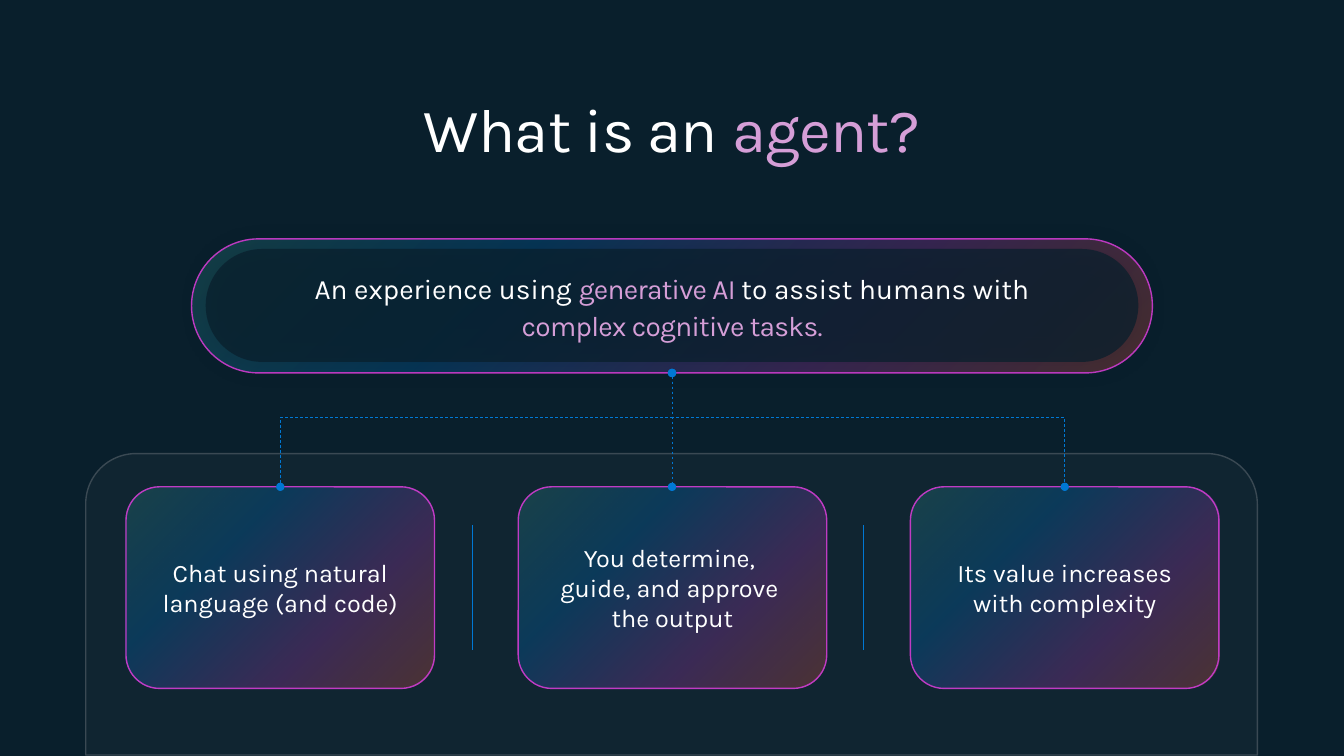
import pptx
import pptx.dml.color
import pptx.enum.dml
import pptx.enum.shapes
import pptx.enum.text
import pptx.oxml
import pptx.oxml.ns
import pptx.util

Inches = pptx.util.Inches
Pt = pptx.util.Pt
RGBColor = pptx.dml.color.RGBColor
Shapes = pptx.enum.shapes.MSO_SHAPE
Connectors = pptx.enum.shapes.MSO_CONNECTOR
qn = pptx.oxml.ns.qn

NAVY = RGBColor(0x09, 0x1F, 0x2C)
PANEL = RGBColor(0x10, 0x25, 0x31)
PANEL_EDGE = RGBColor(0x3A, 0x49, 0x53)
WHITE = RGBColor(0xFF, 0xFF, 0xFF)
PINK = RGBColor(0xD5, 0x9E, 0xD7)
ORANGE = RGBColor(0xFF, 0x5C, 0x39)
MAGENTA = RGBColor(0xC0, 0x3B, 0xC4)
BLUE = RGBColor(0x00, 0x78, 0xD4)
TEAL = RGBColor(0x39, 0x9A, 0x91)
BLACK = RGBColor(0x00, 0x00, 0x00)

GLOW_STOPS = [(0, ORANGE), (32, MAGENTA), (68, BLUE), (100, TEAL)]
FONT = "Karla"
SLIDE_WIDTH, SLIDE_HEIGHT = 13.33, 7.5
PILL = (1.9, 2.37, 9.53, 1.33)
PANEL_BOX = (0.85, 4.5, 11.62, 2.99)
CARD_WIDTH, CARD_HEIGHT, CARD_STEP = 3.06, 2, 3.89
CARD_TEXTS = [
    "Chat using natural language (and code)",
    "You determine, \vguide, and approve \vthe output",
    "Its value increases with complexity",
]


def make_element(tag, **attributes):
    """Return a new drawing element with the given attributes."""
    element = pptx.oxml.parse_xml(f"<{tag} {pptx.oxml.ns.nsdecls('a')}/>")
    for name, value in attributes.items():
        element.set(name, str(value))
    return element


def make_colour(colour, alpha):
    """Return a colour element with an opacity in percent."""
    element = make_element("a:srgbClr", val=colour)
    element.append(make_element("a:alpha", val=alpha * 1000))
    return element


def add_box(slide, kind, box, line=None, corner=None):
    """Add an unshadowed preset shape with an optional outline."""
    shape = slide.shapes.add_shape(kind, *map(Inches, box))
    if corner is not None:
        shape.adjustments[0] = corner
    if line is None:
        shape.line.fill.background()
    else:
        shape.line.color.rgb = line
        shape.line.width = Pt(1)
    shape.shadow.inherit = False
    return shape


def fill_glow(shape):
    """Fill a shape with the translucent glow spreading from its lower right."""
    shape.fill.gradient()
    gradient = shape._element.spPr.find(qn("a:gradFill"))
    for child in list(gradient):
        gradient.remove(child)
    stops = make_element("a:gsLst")
    for position, colour in GLOW_STOPS:
        stop = make_element("a:gs", pos=position * 1000)
        stop.append(make_colour(colour, 25))
        stops.append(stop)
    focus = make_element("a:path", path="circle")
    focus.append(make_element("a:fillToRect", l=100000, t=100000))
    gradient.append(stops)
    gradient.append(focus)
    gradient.append(make_element("a:tileRect", r=-100000, b=-100000))


def write_text(shape, paragraphs, size, margins=(0, 0), line_spacing=None):
    """Write centred paragraphs of (text, colour, letter spacing) runs."""
    frame = shape.text_frame
    frame.word_wrap = True
    frame.vertical_anchor = pptx.enum.text.MSO_ANCHOR.MIDDLE
    frame.margin_left = frame.margin_right = Inches(margins[0])
    frame.margin_top = frame.margin_bottom = Inches(margins[1])
    for index, runs in enumerate(paragraphs):
        paragraph = frame.add_paragraph() if index else frame.paragraphs[0]
        paragraph.alignment = pptx.enum.text.PP_ALIGN.CENTER
        paragraph.line_spacing = line_spacing
        for text, colour, spacing in runs:
            for number, part in enumerate(text.split("\v")):
                if number:
                    paragraph.add_line_break()
                run = paragraph.add_run()
                run.text = part
                run.font.name = FONT
                run.font.size = Pt(size)
                run.font.color.rgb = colour
                run._r.get_or_add_rPr().set("spc", str(int(spacing * 100)))


def add_line(slide, kind, start, end, width):
    """Add a blue connector without a shadow."""
    connector = slide.shapes.add_connector(kind, *map(Inches, start + end))
    connector.line.color.rgb = BLUE
    connector.line.width = Pt(width)
    connector._element.spPr.append(make_element("a:effectLst"))
    return connector


def add_branch(slide, start, end):
    """Add a dashed line with dots at both ends, bent when it goes sideways."""
    across, down = end[0] - start[0], end[1] - start[1]
    if abs(across) < 0.02:
        connector = add_line(slide, Connectors.STRAIGHT, start, (start[0], end[1]), 0.5)
    else:
        side = 1 if across > 0 else -1
        middle_x, middle_y = start[0] + across / 2, start[1] + down / 2
        half_width, half_height = side * down / 2, abs(across) / 2
        connector = add_line(
            slide, Connectors.ELBOW,
            (middle_x + half_width, middle_y - half_height),
            (middle_x - half_width, middle_y + half_height), 0.5)
        properties = connector._element.spPr
        properties.find(qn("a:xfrm")).set("rot", "16200000" if side > 0 else "5400000")
        guides = properties.find(qn("a:prstGeom")).find(qn("a:avLst"))
        guides.append(make_element("a:gd", name="adj1", fmla="val 38900"))
    connector.line.dash_style = pptx.enum.dml.MSO_LINE.DASH
    line = connector._element.spPr.find(qn("a:ln"))
    for tag in ("a:headEnd", "a:tailEnd"):
        line.append(make_element(tag, type="oval"))


def add_title(slide, box):
    """Add the heading."""
    shape = slide.shapes.add_textbox(*map(Inches, box))
    write_text(shape, [[("What is an ", WHITE, -0.5), ("agent?", PINK, -0.5)]], 44)


def add_definition(slide, box):
    """Add the glowing pill and the dark, softly shadowed pill inside it."""
    left, top, width, height = box
    fill_glow(add_box(slide, Shapes.ROUNDED_RECTANGLE, box, MAGENTA, 0.5))
    inset = (left + 0.14, top + 0.1, width - 0.28, height - 0.21)
    inner = add_box(slide, Shapes.ROUNDED_RECTANGLE, inset, corner=0.5)
    inner.fill.solid()
    inner.fill.fore_color.rgb = NAVY
    properties = inner._element.spPr
    colour = properties.find(qn("a:solidFill")).find(qn("a:srgbClr"))
    colour.append(make_element("a:alpha", val=75000))
    shadow = make_element("a:outerShdw", blurRad=Pt(22), dist=0, dir=0, algn="ctr", rotWithShape=0)
    shadow.append(make_colour(BLACK, 15))
    properties.find(qn("a:effectLst")).append(shadow)
    write_text(inner, [
        [("An experience using ", WHITE, 0), ("generative AI ", PINK, -0.5),
         ("to assist humans with", WHITE, 0)],
        [("complex cognitive tasks.", PINK, -0.5)],
    ], 20, (0.2, 0.16), 1.1)


def add_panel(slide, box):
    """Add the lower panel with its dividers and cards; return the card tops."""
    left, top, width, height = box
    panel = add_box(slide, Shapes.ROUND_2_SAME_RECTANGLE, box, PANEL_EDGE)
    panel.fill.solid()
    panel.fill.fore_color.rgb = PANEL
    for index in range(len(CARD_TEXTS) - 1):
        x = left + 3.84 + index * 3.87
        add_line(slide, Connectors.STRAIGHT, (x, top + 0.71), (x, top + 1.95), 0.75)
    anchors = []
    for index, text in enumerate(CARD_TEXTS):
        x, y = left + 0.4 + index * CARD_STEP, top + 0.33
        card = add_box(slide, Shapes.ROUNDED_RECTANGLE, (x, y, CARD_WIDTH, CARD_HEIGHT), MAGENTA)
        fill_glow(card)
        write_text(card, [[(text, WHITE, 0)]], 18, (0.16, 0.04))
        anchors.append((x + CARD_WIDTH / 2, y))
    return anchors


def main():
    """Build the slide and save it."""
    presentation = pptx.Presentation()
    presentation.slide_width = Inches(SLIDE_WIDTH)
    presentation.slide_height = Inches(SLIDE_HEIGHT)
    slide = presentation.slides.add_slide(presentation.slide_layouts[6])
    slide.background.fill.solid()
    slide.background.fill.fore_color.rgb = NAVY
    anchors = add_panel(slide, PANEL_BOX)
    add_title(slide, (2.7, 0.9, 7.93, 0.74))
    add_definition(slide, PILL)
    left, top, width, height = PILL
    for anchor in anchors:
        add_branch(slide, (left + width / 2, top + height), anchor)
    presentation.save("out.pptx")


if __name__ == "__main__":
    main()
